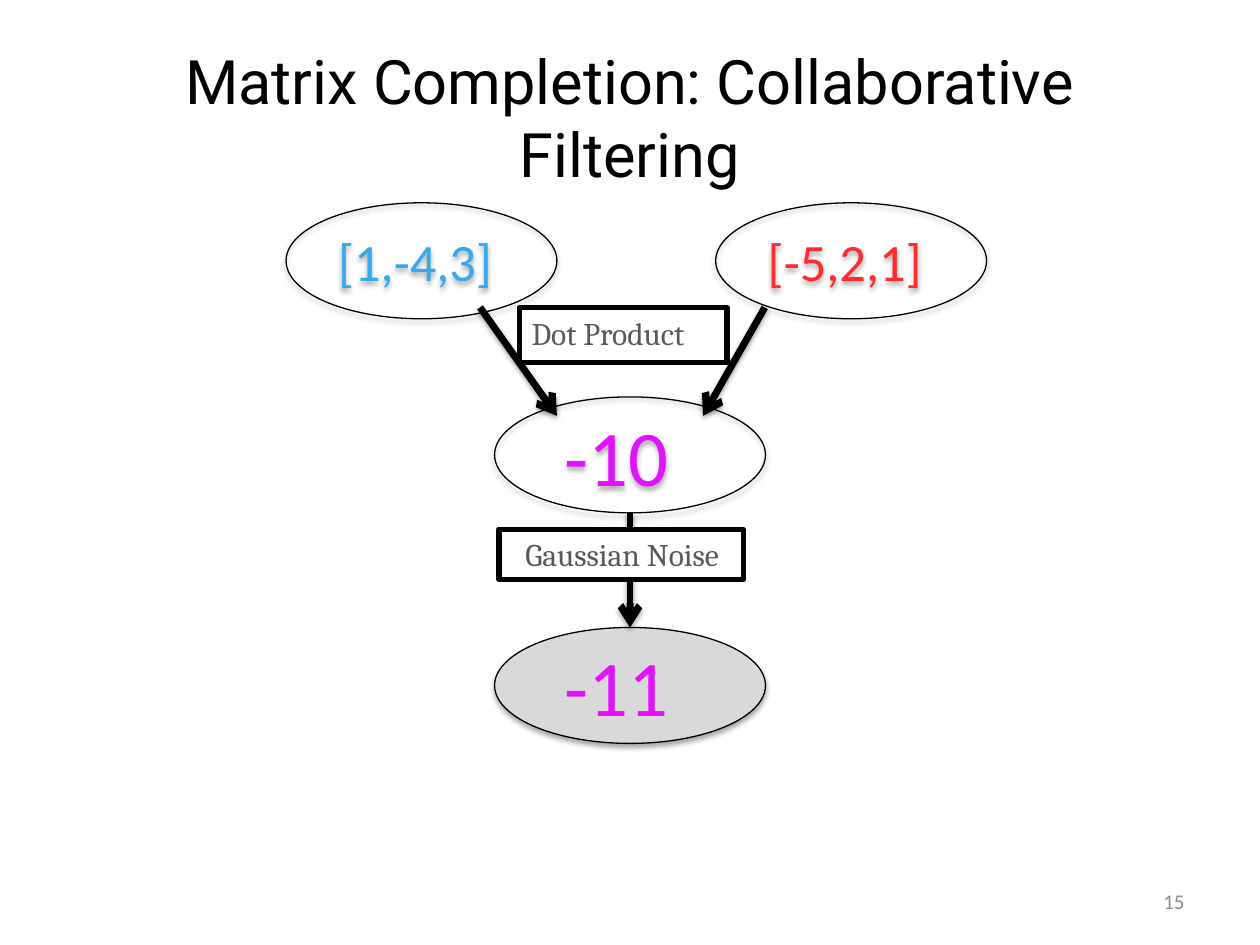
from lxml import etree
from pptx import Presentation
from pptx.dml.color import RGBColor
from pptx.enum.shapes import MSO_CONNECTOR, MSO_SHAPE
from pptx.enum.text import MSO_ANCHOR, PP_ALIGN
from pptx.oxml.ns import qn
from pptx.util import Inches, Pt

OVAL, RECT = MSO_SHAPE.OVAL, MSO_SHAPE.RECTANGLE
STRAIGHT = MSO_CONNECTOR.STRAIGHT
LEFT, CENTER, RIGHT = PP_ALIGN.LEFT, PP_ALIGN.CENTER, PP_ALIGN.RIGHT
MIDDLE, TOP = MSO_ANCHOR.MIDDLE, MSO_ANCHOR.TOP

COLORS = {
    "black": "000000", "white": "FFFFFF", "gray": "D9D9D9",
    "label": "595959", "number": "8C8C8C",
    "blue": "37AAED", "red": "FF2B2C", "pink": "E113FF",
}
NODE_W, NODE_H = 2.15, 0.92
MID = 5


def rgb(name):
    return RGBColor.from_string(COLORS[name])


def write(shape, text, font, size, color, align=LEFT, anchor=MIDDLE):
    frame = shape.text_frame
    frame.vertical_anchor = anchor
    para = frame.paragraphs[0]
    para.alignment = align
    run = para.add_run()
    run.text = text
    run.font.name = font
    run.font.size = Pt(size)
    run.font.color.rgb = rgb(color)
    return frame


def shade(shape, dist, alpha):
    """Give a shape or connector a soft shadow straight below it."""
    props = shape._element.spPr
    effects = props.find(qn("a:effectLst"))
    if effects is None:
        effects = etree.SubElement(props, qn("a:effectLst"))
    shadow = etree.SubElement(
        effects, qn("a:outerShdw"), blurRad=str(Pt(3.1)), dist=str(Pt(dist)),
        dir="5400000", rotWithShape="0")
    color = etree.SubElement(shadow, qn("a:srgbClr"), val=COLORS["black"])
    etree.SubElement(color, qn("a:alpha"), val=str(alpha * 1000))


def add_box(slide, kind, box, weight, fill=None):
    shape = slide.shapes.add_shape(kind, *map(Inches, box))
    shape.shadow.inherit = False
    if fill:
        shape.fill.solid()
        shape.fill.fore_color.rgb = rgb(fill)
    else:
        shape.fill.background()
    shape.line.color.rgb = rgb("black")
    shape.line.width = Pt(weight)
    return shape


def add_node(slide, left, top, text, size, color, fill=None, inset=0.1):
    node = add_box(slide, OVAL, (left, top, NODE_W, NODE_H), 0.75, fill)
    shade(node, 1.8, 35)
    frame = write(node, text, "Calibri", size, color)
    frame.margin_left = Inches(inset)


def add_arrow(slide, start, end):
    arrow = slide.shapes.add_connector(STRAIGHT, *map(Inches, start + end))
    arrow.line.color.rgb = rgb("black")
    arrow.line.width = Pt(4)
    line = arrow._element.spPr.find(qn("a:ln"))
    etree.SubElement(line, qn("a:tailEnd"), type="arrow")
    shade(arrow, 1.6, 38)


def add_label(slide, box, text, inset=0.1):
    label = add_box(slide, RECT, box, 3, "white")
    frame = write(label, text, "Cambria", 18, "label", anchor=TOP)
    frame.word_wrap = False
    frame.margin_left = Inches(inset)


def add_title(slide, box, text):
    title = slide.shapes.title
    title.left, title.top, title.width, title.height = map(Inches, box)
    write(title, text, "Roboto", 35, "black", CENTER)


def add_graph(slide):
    """Two vectors meet in a dot product, which noise then shifts."""
    left = MID - NODE_W / 2
    dot, noisy = 3.15, 4.98
    add_node(slide, 2.27, 1.61, "[1,-4,3]", 30, "blue")
    add_node(slide, 5.68, 1.61, "[-5,2,1]", 30, "red")
    add_node(slide, left, dot, "-10", 45, "pink", inset=0.24)
    add_node(slide, left, noisy, "-11", 45, "pink", "gray", 0.24)
    add_arrow(slide, (6.07, 2.44), (5.58, 3.3))
    add_arrow(slide, (3.81, 2.44), (4.42, 3.3))
    add_arrow(slide, (MID, dot + NODE_H), (MID, noisy))
    add_label(slide, (4.12, 2.44, 1.65, 0.44), "Dot Product")
    add_label(slide, (3.96, 4.2, 1.94, 0.4), "Gaussian Noise", 0.21)


def add_number(slide, box, text):
    number = slide.shapes.add_textbox(*map(Inches, box))
    write(number, text, "Calibri", 12, "number", RIGHT).word_wrap = True


def main():
    deck = Presentation()
    deck.slide_width, deck.slide_height = Inches(10), Inches(7.5)
    slide = deck.slides.add_slide(deck.slide_layouts[5])
    add_title(slide, (0.5, 0.3, 9, 1.25),
              "Matrix Completion: Collaborative Filtering")
    add_graph(slide)
    add_number(slide, (7.17, 6.95, 2.33, 0.4), "15")
    deck.save("out.pptx")


if __name__ == "__main__":
    main()
